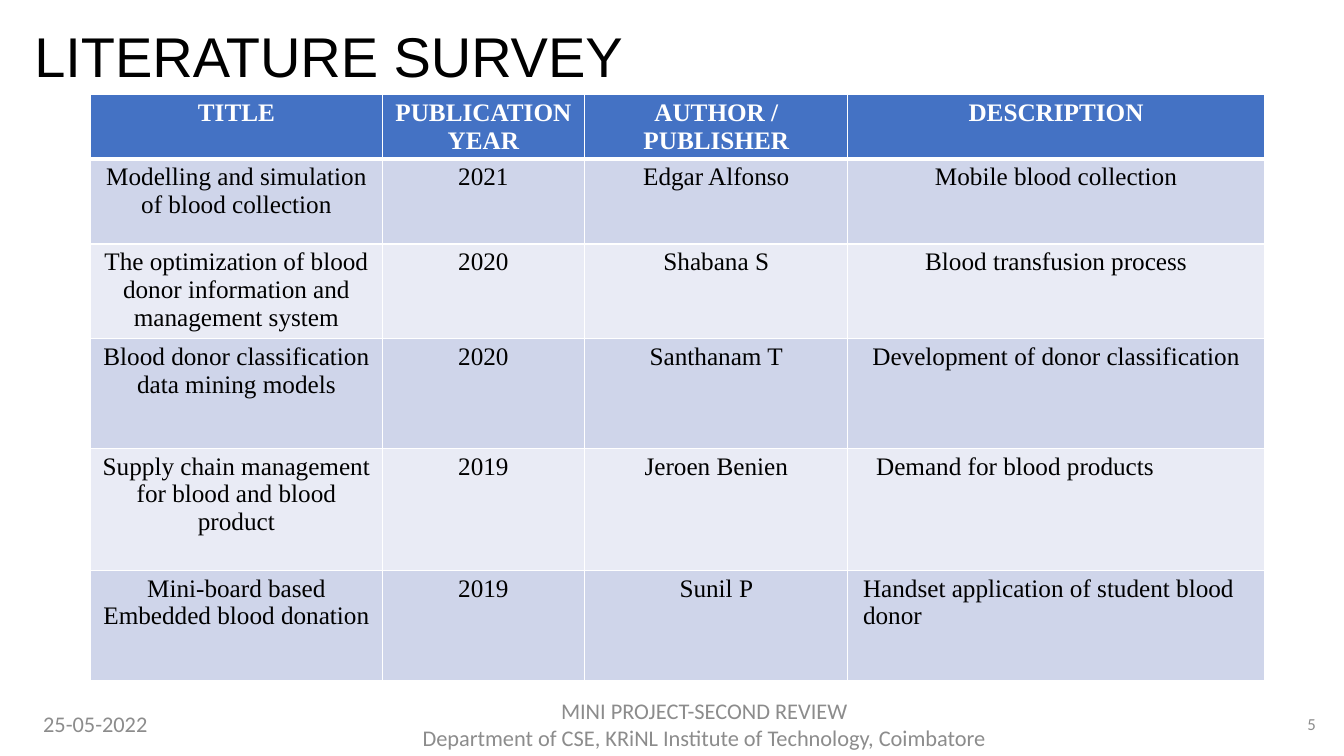
from lxml import etree
from pptx import Presentation
from pptx.dml.color import RGBColor
from pptx.enum.text import MSO_ANCHOR, PP_ALIGN
from pptx.oxml.ns import qn
from pptx.util import Inches, Pt

LEFT, MID, RIGHT = PP_ALIGN.LEFT, PP_ALIGN.CENTER, PP_ALIGN.RIGHT
MIDDLE = MSO_ANCHOR.MIDDLE
COLORS = {"white": "FFFFFF", "black": "000000", "gray": "8C8C8C",
          "head": "4472C4", "odd": "CFD5EA", "even": "E9EBF5"}
SERIF, SANS, BODY = "Times New Roman", "Arial", "Calibri"

COLS = [2.89, 2.01, 2.61, 4.13]
HEIGHTS = [0.63, 0.84, 0.93, 1.09, 1.21, 1.09]
PAPERS = [
    ("TITLE", "PUBLICATION YEAR", "AUTHOR / PUBLISHER", "DESCRIPTION"),
    ("Modelling and simulation of blood collection", "2021",
     "Edgar Alfonso", "Mobile blood collection"),
    ("The optimization of blood donor information and management system", "2020",
     "Shabana S", "Blood transfusion process"),
    ("Blood donor classification data mining models", "2020",
     "Santhanam T", "Development of donor classification"),
    ("Supply chain management for blood and blood product", "2019",
     "Jeroen Benien", "Demand for blood products"),
    ("Mini-board based Embedded blood donation", "2019",
     "Sunil P", "Handset application of student blood donor"),
]
# Left-aligned cells, with their left margin
INSETS = {(4, 3): 0.28, (5, 3): 0.15}


def color(name):
    return RGBColor.from_string(COLORS[name])


def write(frame, text, size=18, font=SERIF, ink="black", bold=False,
          align=LEFT, spacing=None):
    """Fill a text frame, one paragraph for each line of text."""
    for i, line in enumerate(text.split("\n")):
        para = frame.add_paragraph() if i else frame.paragraphs[0]
        para.alignment = align
        para.line_spacing = spacing
        run = para.add_run()
        run.text = line
        run.font.size = Pt(size)
        run.font.name = font
        run.font.bold = bold
        run.font.color.rgb = color(ink)


def edge(cell, bottom):
    """Draw white cell borders, the lower one with its own width."""
    props = cell._tc.get_or_add_tcPr()
    for i, (side, width) in enumerate(zip("LRTB", (1, 1, 1, bottom))):
        line = etree.Element(qn("a:ln" + side), w=str(Pt(width)))
        fill = etree.SubElement(line, qn("a:solidFill"))
        etree.SubElement(fill, qn("a:srgbClr"), val=COLORS["white"])
        props.insert(i, line)


class Deck:
    def __init__(self):
        self.show = Presentation()
        self.show.slide_width = Inches(13.33)
        self.show.slide_height = Inches(7.5)
        self.slide = self.show.slides.add_slide(self.show.slide_layouts[6])

    def text(self, box, text, inset=0.1, **style):
        shape = self.slide.shapes.add_textbox(*map(Inches, box))
        frame = shape.text_frame
        frame.word_wrap = True
        frame.vertical_anchor = MIDDLE
        frame.margin_left = Inches(inset)
        write(frame, text, **style)

    def table(self, left, top, rows, cols, heights, insets):
        size = (Inches(n) for n in (left, top, sum(cols), sum(heights)))
        table = self.slide.shapes.add_table(len(rows), len(cols), *size).table
        for col, width in zip(table.columns, cols):
            col.width = Inches(width)
        for row, height in zip(table.rows, heights):
            row.height = Inches(height)
        for r, row in enumerate(rows):
            head = r == 0
            fill = "head" if head else "odd" if r % 2 else "even"
            for c, text in enumerate(row):
                cell = table.cell(r, c)
                cell.fill.solid()
                cell.fill.fore_color.rgb = color(fill)
                edge(cell, 3 if head else 1)
                cell.margin_top = Inches(0.04)
                cell.margin_bottom = Inches(0)
                inset = insets.get((r, c))
                if inset:
                    cell.margin_left = Inches(inset)
                write(cell.text_frame, text, bold=head,
                      ink="white" if head else "black",
                      align=LEFT if inset else MID)


def main():
    deck = Deck()
    deck.text((0.15, 0.13, 11.5, 0.92), "LITERATURE SURVEY", inset=0.19,
              size=40, font=SANS, spacing=0.9)
    deck.table(0.9, 0.94, PAPERS, COLS, HEIGHTS, INSETS)
    foot = {"font": BODY, "ink": "gray"}
    deck.text((0.33, 6.98, 1.45, 0.4), "25-05-2022", size=16, **foot)
    deck.text((12.54, 6.98, 0.61, 0.4), "5", size=12, align=RIGHT, **foot)
    deck.text((3.28, 6.88, 7.41, 0.6),
              "MINI PROJECT-SECOND REVIEW\n"
              "Department of CSE, KRiNL Institute of Technology, Coimbatore",
              size=16, align=MID, **foot)
    deck.show.save("out.pptx")


if __name__ == "__main__":
    main()
